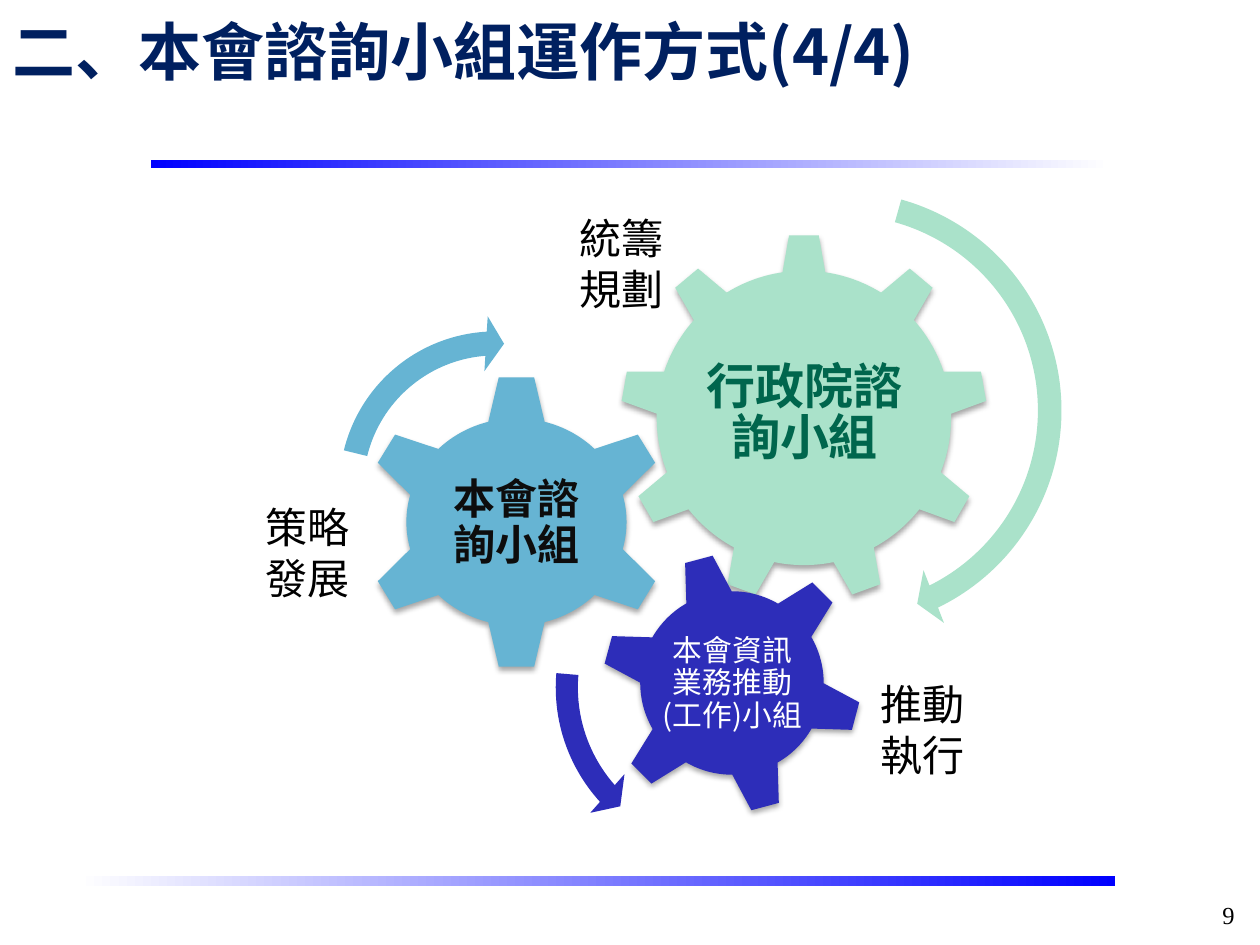
from pptx import Presentation
from pptx.dml.color import RGBColor as RGB
from pptx.enum.shapes import MSO_SHAPE as Kind
from pptx.enum.text import MSO_ANCHOR as Anchor, PP_ALIGN as Align
from pptx.oxml import parse_xml
from pptx.oxml.ns import nsdecls, qn
from pptx.util import Pt

PX = 914400 / 126  # EMU in one px
WHITE, BLACK, INK = RGB(255, 255, 255), RGB(0, 0, 0), RGB(0x0D, 0x0D, 0x0D)
BLUE, NAVY = RGB(0, 0, 255), RGB(0, 0x20, 0x60)
MINT, GREEN = RGB(0xAA, 0xE2, 0xCA), RGB(0, 0x66, 0x4D)
SKY, INDIGO = RGB(0x66, 0xB4, 0xD3), RGB(0x2D, 0x2D, 0xB9)
SANS, HEAD, SERIF = "Noto Sans CJK TC", "Noto Sans CJK SC", "Times New Roman"
SHADE = (f'<a:outerShdw {nsdecls("a")} blurRad="40000" dist="23000" dir="5400000" '
         'rotWithShape="0"><a:srgbClr val="000000"><a:alpha val="35000"/>'
         '</a:srgbClr></a:outerShdw>')

deck = Presentation()
deck.slide_width, deck.slide_height = round(1260 * PX), round(945 * PX)
slide = deck.slides.add_slide(deck.slide_layouts[6])


def add_form(kind, box, color=None, turn=0):
    form = slide.shapes.add_shape(kind, *(round(n * PX) for n in box))
    form.shadow.inherit = False
    form.line.fill.background()
    form.rotation = turn
    if color is not None:
        form.fill.solid()
        form.fill.fore_color.rgb = color
    return form


def add_text(words, box, size, lead, color, face=SANS, bold=False,
             align=Align.LEFT, inset=None, anchor=Anchor.TOP):
    frame = slide.shapes.add_textbox(*(round(n * PX) for n in box)).text_frame
    look = {"word_wrap": True, "vertical_anchor": anchor}
    if inset is not None:
        for side in ("left", "right", "top", "bottom"):
            look[f"margin_{side}"] = round(inset * PX)
    for key, value in look.items():
        setattr(frame, key, value)
    para = frame.paragraphs[0]
    para.alignment, para.line_spacing = align, Pt(lead)
    run = para.add_run()
    run.text = words
    for key, value in {"size": Pt(size), "bold": bold, "name": face}.items():
        setattr(run.font, key, value)
    run.font.color.rgb = color
    east = parse_xml(f'<a:ea {nsdecls("a")} typeface="{face}"/>')
    run.font._element.find(qn("a:latin")).addnext(east)


# Fading bars
for box, ends in (((78, 876, 1037, 10), (WHITE, BLUE)),
                  ((151, 160, 960, 8), (BLUE, WHITE))):
    bar = add_form(Kind.RECTANGLE, box)
    bar.fill.gradient()
    bar.fill.gradient_angle = 0
    for stop, color, place in zip(bar.fill.gradient_stops, ends, (0, 1)):
        stop.color.rgb, stop.position = color, place

# Gears with their names
gears = (
    (Kind.GEAR_9, (620, 234, 368, 368), MINT, 0,
     "行政院諮詢小組", (694, 320, 221, 189), 28, 29, GREEN, True, 5),
    (Kind.GEAR_6, (362, 374, 309, 296), SKY, 0,
     "本會諮詢小組", (438, 450, 156, 146), 24, 26, INK, True, 4),
    (Kind.GEAR_6, (601, 552, 262, 262), INDIGO, 345,
     "本會資訊業務推動(工作)小組", (659, 610, 147, 147), 17, 18.5, WHITE, False, 3),
)
for kind, box, color, turn, words, area, size, lead, ink, bold, inset in gears:
    gear = add_form(kind, box, color, turn)
    gear._element.spPr.find(qn("a:effectLst")).append(parse_xml(SHADE))
    add_text(words, area, size, lead, ink, bold=bold, align=Align.CENTER,
             inset=inset, anchor=Anchor.MIDDLE)

# Turning arrows
arrows = (
    (Kind.CIRCULAR_ARROW, (607, 175, 471, 471), MINT, 21.7, False,
     (0.05, 2.99, 25.3, 158.32, 0.06)),
    (Kind.LEFT_CIRCULAR_ARROW, (324, 316, 343, 343), SKY, 81.1, True,
     (0.07, 4.3, 104.89, 148.38, 0.08)),
    (Kind.CIRCULAR_ARROW, (541, 503, 369, 369), INDIGO, 0, True,
     (0.06, 3.94, 133.14, 105.08, 0.07)),
)
for kind, box, color, turn, flip, bends in arrows:
    arrow = add_form(kind, box, color, turn)
    for i, bend in enumerate(bends):
        arrow.adjustments[i] = bend
    if flip:
        arrow._element.spPr.find(qn("a:xfrm")).set("flipV", "1")

# Page number and title
add_text("9", (1150, 893, 97, 30), 14, 17, BLACK, SERIF, align=Align.RIGHT)
add_text("二、本會諮詢小組運作方式(4/4)", (0, 0, 1134, 121), 36, 47, NAVY, HEAD, True)

# Labels beside the gears
for words, left, top in (("統籌規劃", 567, 206), ("策略發展", 253, 495),
                         ("推動執行", 868, 672)):
    add_text(words, (left, top, 127, 115), 24, 29, BLACK)

deck.save("out.pptx")
